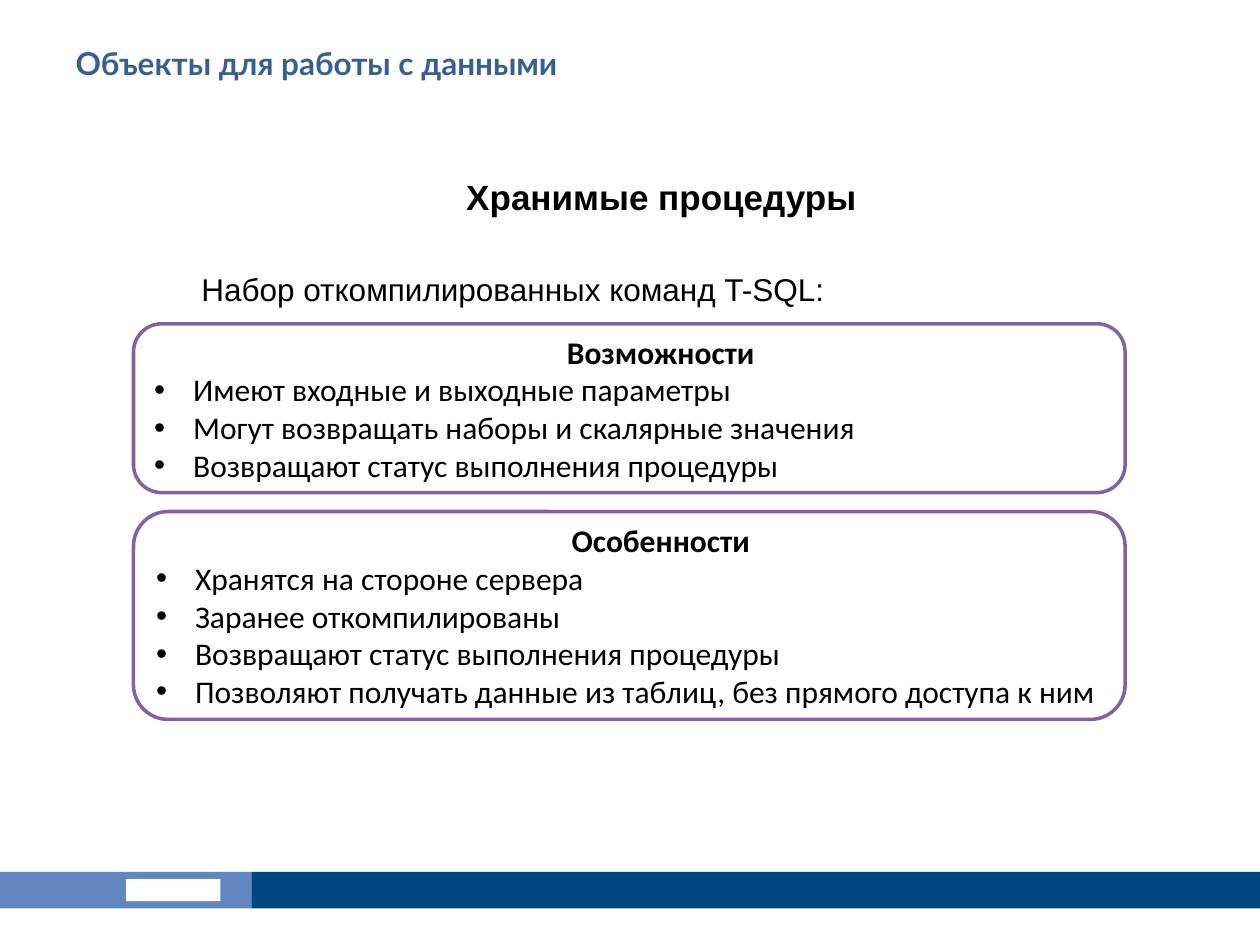
from dataclasses import dataclass

from lxml import etree
from pptx import Presentation
from pptx.dml.color import RGBColor
from pptx.enum.shapes import MSO_SHAPE
from pptx.enum.text import MSO_ANCHOR, PP_ALIGN
from pptx.oxml.ns import qn
from pptx.util import Inches, Pt

RECTANGLE, ROUNDED = MSO_SHAPE.RECTANGLE, MSO_SHAPE.ROUNDED_RECTANGLE
TOP, MIDDLE = MSO_ANCHOR.TOP, MSO_ANCHOR.MIDDLE
LEFT, CENTER, JUSTIFY = PP_ALIGN.LEFT, PP_ALIGN.CENTER, PP_ALIGN.JUSTIFY

WIDTH, HEIGHT = Inches(10), Inches(7.5)
COLUMNS, ROWS = 100, 75
TITLE_ONLY = 5


@dataclass(frozen=True)
class Theme:
    title: str = "376092"
    ink: str = "000000"
    paper: str = "FFFFFF"
    frame: str = "8064A2"
    band_light: str = "6087BF"
    band_dark: str = "00467E"
    heading_size: int = 20
    text_size: int = 18
    title_font: str = "Lato"
    intro_font: str = "Arial"
    panel_font: str = "Calibri"
    frame_width: int = 2


THEME = Theme()

PANELS = [
    ((10.6, 25.7, 78.7, 13.4), "Возможности", [
        "Имеют входные и выходные параметры",
        "Могут возвращать наборы и скалярные значения",
        "Возвращают статус выполнения процедуры",
    ]),
    ((10.6, 40.6, 78.7, 16.5), "Особенности", [
        "Хранятся на стороне сервера",
        "Заранее откомпилированы",
        "Возвращают статус выполнения процедуры",
        "Позволяют получать данные из таблиц, без прямого доступа к ним",
    ]),
]


def place(box):
    """Turn (column, row, columns, rows) into slide lengths."""
    column, row, columns, rows = box
    return (int(WIDTH * column / COLUMNS), int(HEIGHT * row / ROWS),
            int(WIDTH * columns / COLUMNS), int(HEIGHT * rows / ROWS))


def write(frame, text, font, size=THEME.text_size, color=THEME.ink, bold=False,
          align=LEFT, before=0, margin=0, indent=0, bullet=None):
    """Add one paragraph; the empty first paragraph is used first."""
    para = frame.paragraphs[0] if not frame.text else frame.add_paragraph()
    properties = para._p.get_or_add_pPr()
    properties.set("marL", str(Inches(margin)))
    properties.set("indent", str(Inches(indent)))
    if bullet:
        etree.SubElement(properties, qn("a:buFont"), typeface="Arial")
        etree.SubElement(properties, qn("a:buChar"), char=bullet)
    para.alignment = align
    para.space_before = Pt(before)
    span = para.add_run()
    span.text = text
    span.font.name = font
    span.font.size = Pt(size)
    span.font.bold = bold
    span.font.color.rgb = RGBColor.from_string(color)


def add_block(page, kind, box, fill, line=None):
    block = page.shapes.add_shape(kind, *place(box))
    block.shadow.inherit = False
    block.fill.solid()
    block.fill.fore_color.rgb = RGBColor.from_string(fill)
    if line:
        block.line.color.rgb = RGBColor.from_string(line)
        block.line.width = Pt(THEME.frame_width)
    else:
        block.line.fill.background()
    return block


def add_footer(page, box):
    column, row, columns, rows = box
    split = columns / 5
    add_block(page, RECTANGLE, (column, row, split, rows), THEME.band_light)
    add_block(page, RECTANGLE, (column + split, row, columns - split, rows),
              THEME.band_dark)
    # Plain mark in the right half of the light band
    add_block(page, RECTANGLE,
              (column + split / 2, row + rows / 5, split * 0.375, rows * 0.6),
              THEME.paper)


def add_title(page, box, text):
    title = page.shapes.title
    title.left, title.top, title.width, title.height = place(box)
    frame = title.text_frame
    frame.vertical_anchor = TOP
    write(frame, text, THEME.title_font, color=THEME.title, bold=True)


def add_intro(page, box, heading, lead):
    frame = page.shapes.add_textbox(*place(box)).text_frame
    frame.word_wrap = True
    write(frame, heading, THEME.intro_font, size=THEME.heading_size, bold=True,
          align=CENTER, indent=0.5)
    write(frame, lead, THEME.intro_font, align=JUSTIFY, before=30, indent=0.5)


def add_panel(page, box, heading, items):
    frame = add_block(page, ROUNDED, box, THEME.paper, THEME.frame).text_frame
    frame.word_wrap = True
    frame.vertical_anchor = MIDDLE
    write(frame, heading, THEME.panel_font, bold=True, align=CENTER, indent=0.5)
    for item in items:
        write(frame, item, THEME.panel_font, margin=0.31, indent=-0.31, bullet="•")


def main():
    deck = Presentation()
    deck.slide_width, deck.slide_height = WIDTH, HEIGHT
    page = deck.slides.add_slide(deck.slide_layouts[TITLE_ONLY])
    add_footer(page, (0, 69.2, COLUMNS, 2.9))
    add_title(page, (5, 3, 90, 7.8), "Объекты для работы с данными")
    add_intro(page, (10, 13.4, 80, 52.5), "Хранимые процедуры",
              "Набор откомпилированных команд T-SQL:")
    for box, heading, items in PANELS:
        add_panel(page, box, heading, items)
    deck.save("out.pptx")


if __name__ == "__main__":
    main()
